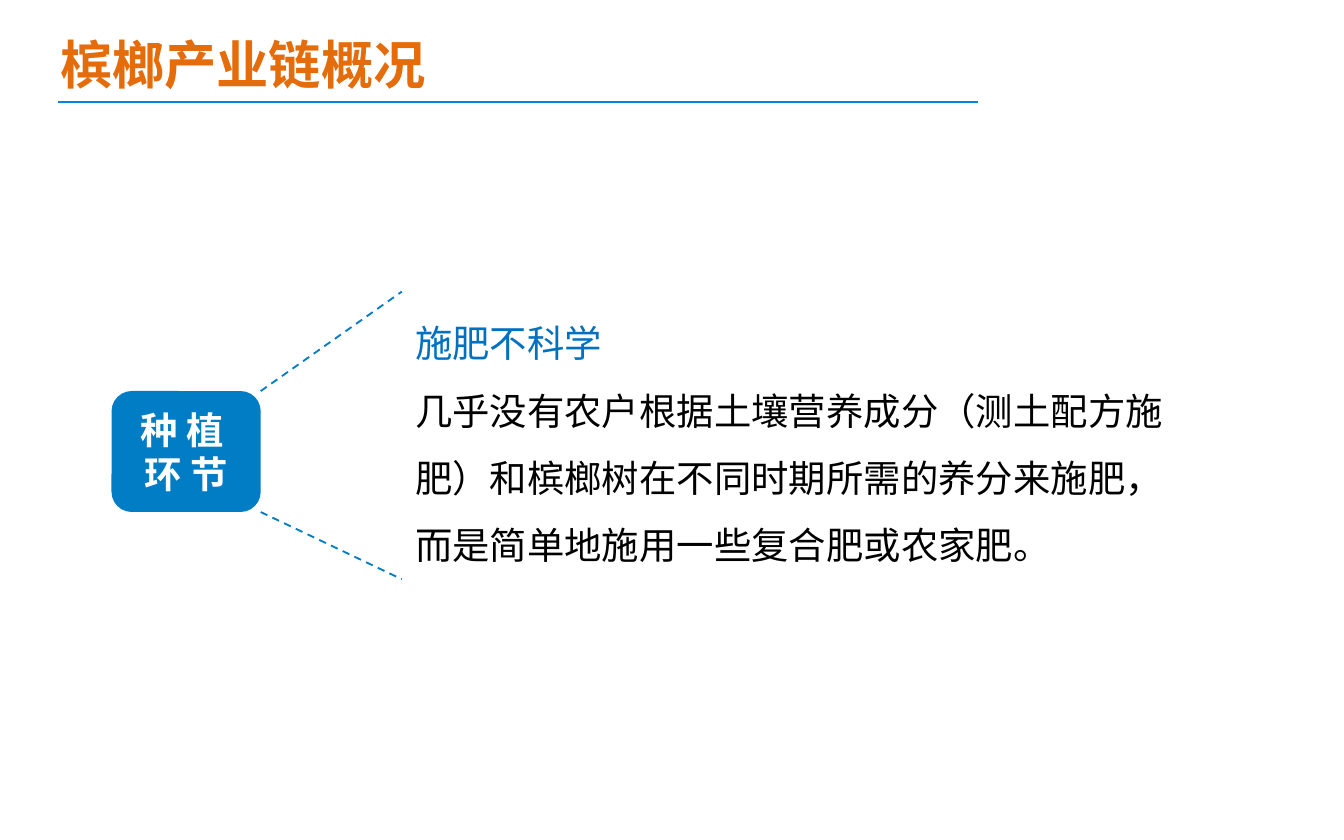
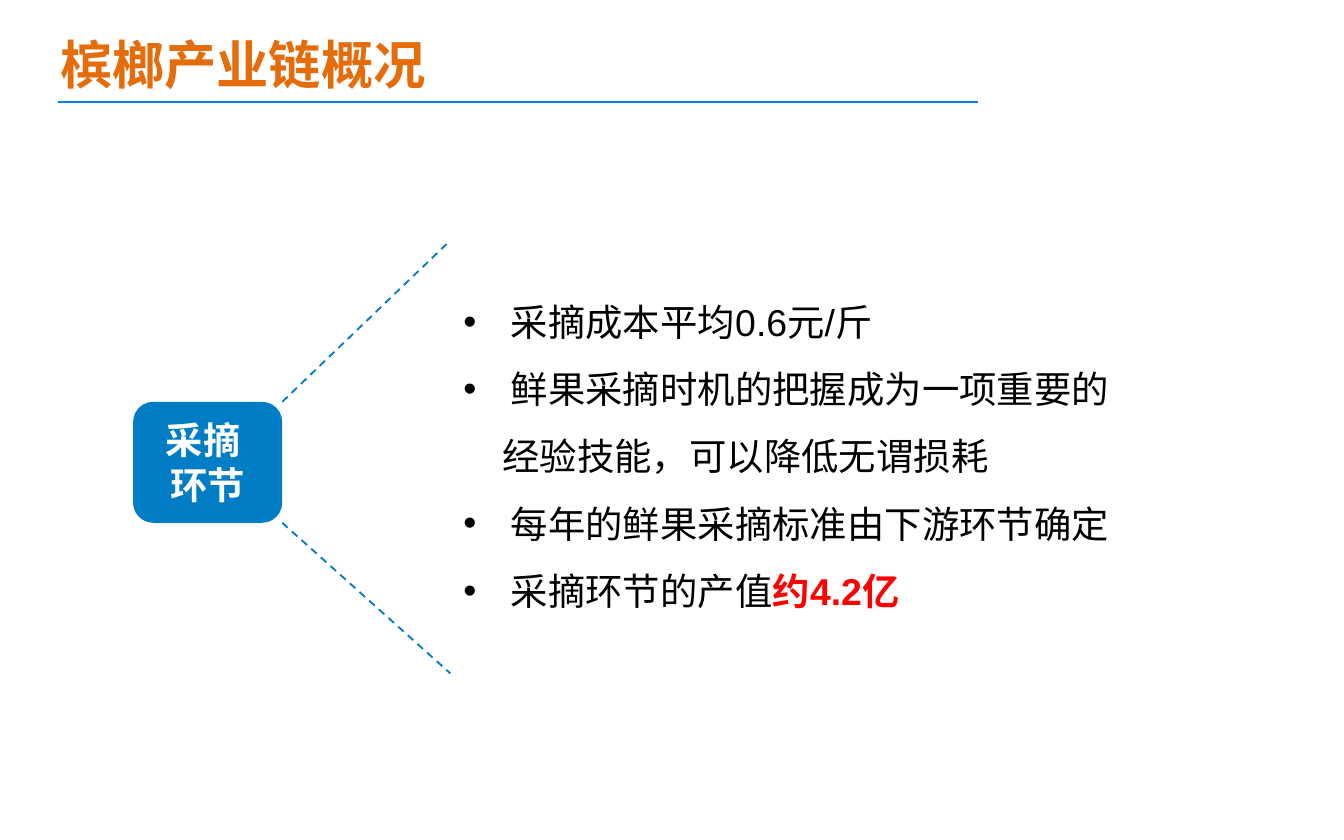
from dataclasses import dataclass
from pptx import Presentation
from pptx.dml.color import RGBColor as RGB
from pptx.enum.dml import MSO_LINE as Dash
from pptx.enum.shapes import MSO_CONNECTOR as Conn, MSO_SHAPE as Kind
from pptx.enum.text import MSO_ANCHOR as Anchor, MSO_AUTO_SIZE as Auto, PP_ALIGN as Align
from pptx.oxml.ns import qn
from pptx.util import Inches, Pt
from lxml.etree import SubElement as Sub


@dataclass(frozen=True)
class Theme:
    """Colours, fonts and type sizes of the deck."""
    head: str = "E46C0A"
    rule: str = "0087E6"
    node: str = "007DC4"
    lead: str = "0070C0"
    ink: str = "000000"
    alert: str = "FF0000"
    light: str = "FFFFFF"
    title: str = "Calibri"
    body: str = "Arial"
    label: str = "Noto Sans CJK SC"
    big: int = 28
    text: int = 20


class Deck:
    """Draws on a grid of 100 columns, each a tenth of an inch."""

    def __init__(self, theme):
        """Start an empty deck."""
        self.theme = theme
        self.show = Presentation()
        self.show.slide_width, self.show.slide_height = Inches(10), Inches(6.25)
        self.slide = None

    def grid(self, *cells):
        """Turn grid units into lengths."""
        return [Inches(cell / 10) for cell in cells]

    def style(self, item, form):
        """Set attributes from a dict."""
        for name, value in form.items():
            setattr(item, name, value)

    def add(self, para, text, color, font, size, bold=False):
        """Add one run of text."""
        run = para.add_run()
        run.text = text
        self.style(run.font, {"name": font, "size": Pt(size), "bold": bold})
        run.font.color.rgb = RGB.from_string(color)

    def fill(self, frame, paras, font, size, bold=False, mark=False, **form):
        """Fill a frame with paragraphs of (text, colour, bold) runs."""
        for num, runs in enumerate(paras):
            para = frame.add_paragraph() if num else frame.paragraphs[0]
            self.style(para, form)
            if mark:
                self.mark(para)
            for text, color, *heavy in runs:
                self.add(para, text, color, font, size, bold or bool(heavy))

    def mark(self, para):
        """Give a paragraph a hanging bullet."""
        props = para._p.get_or_add_pPr()
        indent = Inches(0.29)
        props.set("marL", str(indent))
        props.set("indent", str(-indent))
        Sub(props, qn("a:buFont"), typeface=self.theme.body)
        Sub(props, qn("a:buChar"), char="•")

    def box(self, place, paras, font, size, **form):
        """Add a text box."""
        frame = self.slide.shapes.add_textbox(*self.grid(*place)).text_frame
        self.style(frame, {"word_wrap": True, "auto_size": Auto.SHAPE_TO_FIT_TEXT})
        self.fill(frame, paras, font, size, **form)

    def line(self, ends, color, dash=None):
        """Add a straight line."""
        line = self.slide.shapes.add_connector(Conn.STRAIGHT, *self.grid(*ends))
        self.style(line.line, {"width": Pt(1), "dash_style": dash})
        line.line.color.rgb = RGB.from_string(color)
        Sub(line._element.spPr, qn("a:effectLst"))

    def node(self, left, top, wide, high, words):
        """Add the rounded stage label."""
        look = self.theme
        shape = self.slide.shapes.add_shape(
            Kind.ROUNDED_RECTANGLE, *self.grid(left, top, wide, high))
        shape.shadow.inherit = False
        shape.adjustments[0] = 0.167
        shape.fill.solid()
        shape.fill.fore_color.rgb = RGB.from_string(look.node)
        shape.line.fill.background()
        shape.text_frame.vertical_anchor = Anchor.MIDDLE
        self.fill(shape.text_frame, [[(word, look.light)] for word in words],
                  look.label, look.text, bold=True, alignment=Align.CENTER)

    def page(self, title):
        """Add a slide with its title and rule."""
        look = self.theme
        self.slide = self.show.slides.add_slide(self.show.slide_layouts[6])
        self.line((4.3, 7.6, 72.8, 7.6), look.rule)
        self.box((3.5, 1.9, 69.3, 5.7), [[(title, look.head)]],
                 look.title, look.big, bold=True)

    def stage(self, spot, words, fan, place, paras, mark=False):
        """Add a stage label that fans out to its text."""
        left, top = spot
        wide, high = 11.1, 9
        side, upper, lower = fan
        right = left + wide
        for start, end in ((top + high, lower), (top, upper)):
            self.line((right, start, side, end), self.theme.node, Dash.DASH)
        self.node(left, top, wide, high, words)
        self.box((side, *place), paras, self.theme.body, self.theme.text,
                 mark=mark, line_spacing=1.5)


def main():
    """Build both slides."""
    look = Theme()
    deck = Deck(look)
    title = "槟榔产业链概况"

    deck.page(title)
    deck.stage((8.3, 29.1), ("种 植 ", "环 节"), (29.9, 21.7, 43.1),
               (21.7, 60.3, 21.3), [
        [("施肥不科学", look.lead)],
        [("几乎没有农户根据土壤营养成分（测土配方施肥）和槟榔树在不同时期所需的养分来施肥，"
          "而是简单地施用一些复合肥或农家肥。", look.ink)],
    ])

    deck.page(title)
    deck.stage((9.9, 29.9), ("采摘 ", "环节"), (33.5, 17.9, 50.1),
               (20.1, 52, 26.3), [
        [(" 采摘成本平均0.6元/斤", look.ink)],
        [(" 鲜果采摘时机的把握成为一项重要的经验技能，可以降低无谓损耗", look.ink)],
        [(" 每年的鲜果采摘标准由下游环节确定", look.ink)],
        [(" 采摘环节的产值", look.ink), ("约4.2亿", look.alert, True)],
    ], mark=True)

    deck.show.save("out.pptx")


if __name__ == "__main__":
    main()
